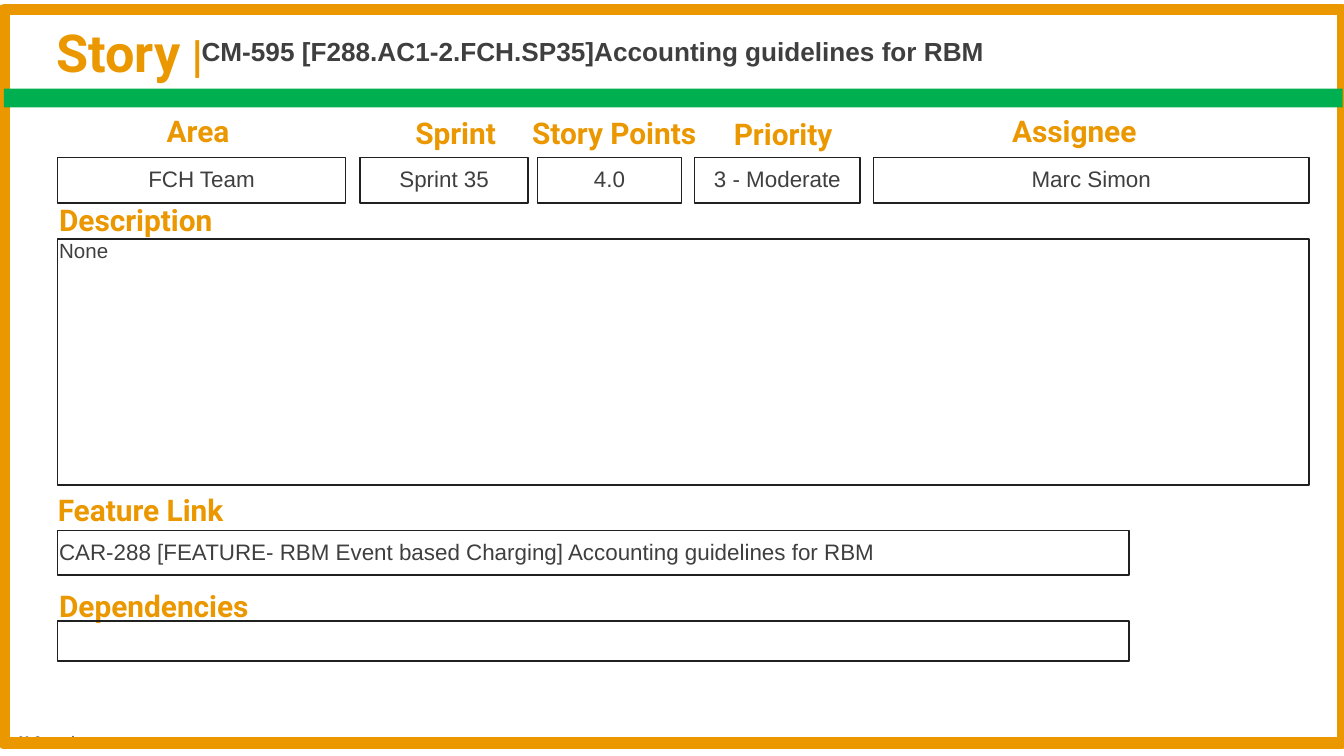
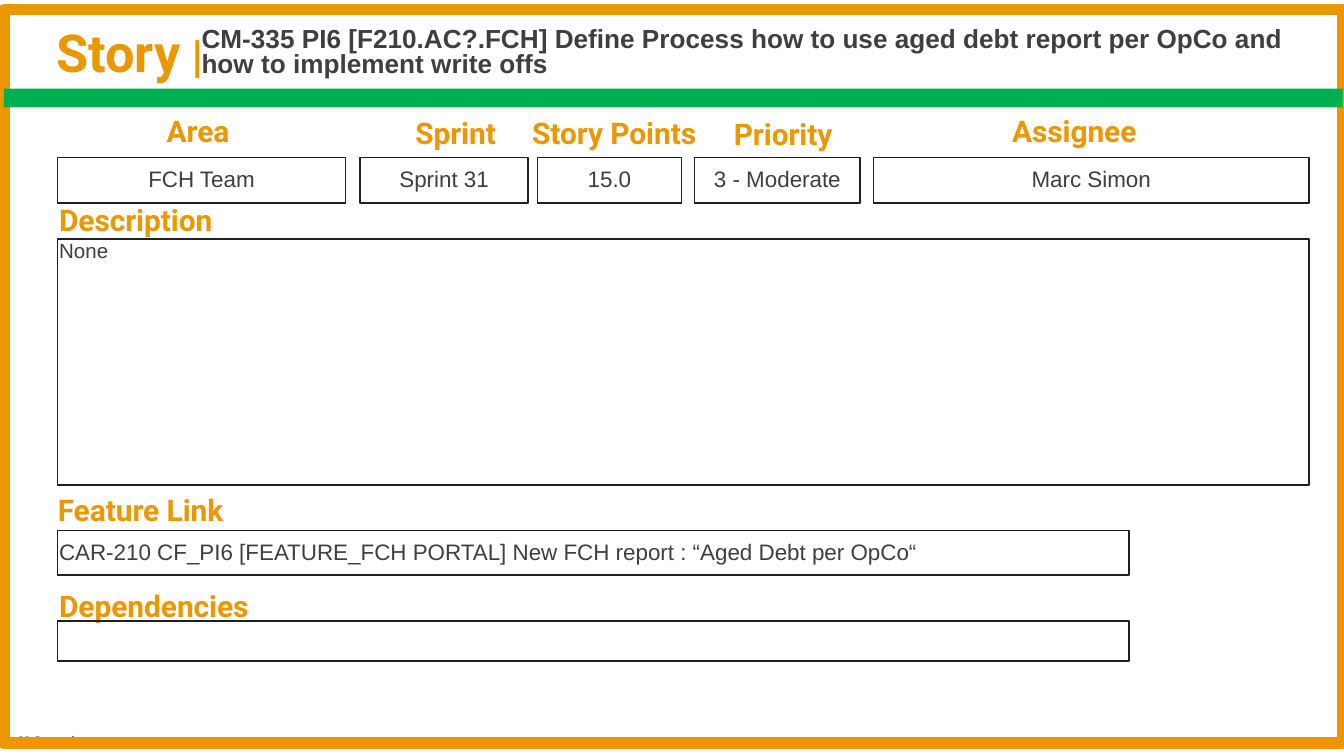
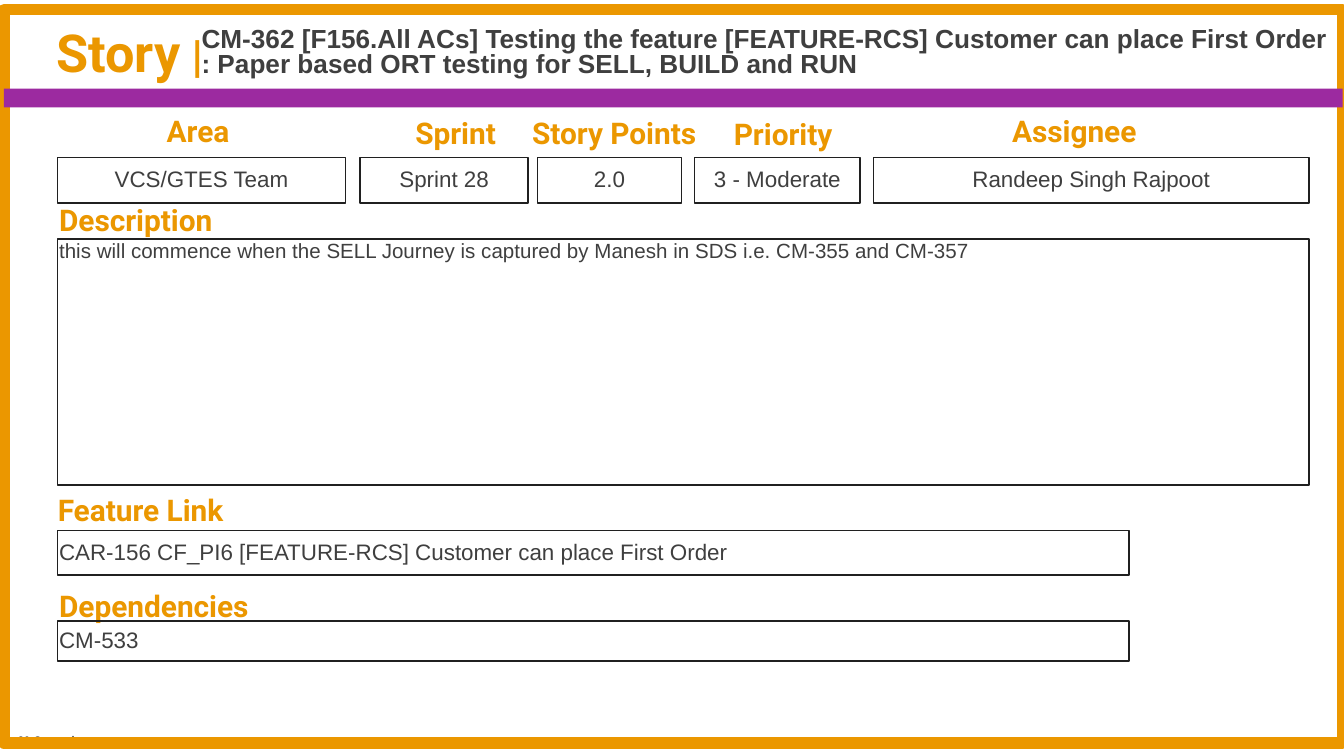
from pptx import Presentation
from pptx import util as u
from pptx.dml import color
from pptx.enum import shapes, text

COLS, ROWS = 100, 56.25
ORANGE, GREEN, PURPLE = "EB9700", "00B050", "9C2AA0"
INK, EDGE, BLACK = "3F3F3F", "202020", "000000"
HEAD, BODY, FOOT = "Roboto", "Arial", "Calibri"
LEFT, CELL_TOP, CELL_HIGH = 4.3, 11.7, 3.4
WIDE, NARROW = 93.1, 79.7

# label, label column, label row, box column, box width
FIELDS = [
    ("Area", 12.4, 8.4, LEFT, 21.4),
    ("Sprint", 30.9, 8.5, 26.8, 12.5),
    ("Story Points", 39.6, 8.5, 40, 10.7),
    ("Priority", 54.6, 8.6, 51.7, 12.3),
    ("Assignee", 75.3, 8.4, 65, 32.4),
]

STORIES = [
    dict(
        title="CM-595 [F288.AC1-2.FCH.SP35]Accounting guidelines for RBM",
        band=GREEN,
        values=["FCH Team", "Sprint 35", "4.0", "3 - Moderate", "Marc Simon"],
        about="None",
        feature="CAR-288 [FEATURE- RBM Event based Charging] "
                "Accounting guidelines for RBM",
        needs="",
    ),
    dict(
        title="CM-335 PI6 [F210.AC?.FCH] Define Process how to use aged debt "
              "report per OpCo and how to implement write offs",
        band=GREEN,
        values=["FCH Team", "Sprint 31", "15.0", "3 - Moderate", "Marc Simon"],
        about="None",
        feature="CAR-210 CF_PI6 [FEATURE_FCH PORTAL] New FCH report : "
                "“Aged Debt per OpCo“",
        needs="",
    ),
    dict(
        title="CM-362 [F156.All ACs] Testing the feature [FEATURE-RCS] Customer "
              "can place First Order : Paper based ORT testing for SELL, BUILD "
              "and RUN",
        band=PURPLE,
        values=["VCS/GTES Team", "Sprint 28", "2.0", "3 - Moderate",
                "Randeep Singh Rajpoot"],
        about="this will commence when the SELL Journey is captured by Manesh "
              "in SDS i.e. CM-355 and CM-357",
        feature="CAR-156 CF_PI6 [FEATURE-RCS] Customer can place First Order",
        needs="CM-533",
    ),
]


def rgb(code):
    return color.RGBColor.from_string(code)


class Deck:
    """Holds the style and the current slide; lengths are grid cells."""

    def __init__(self):
        self.prs = Presentation()
        self.prs.slide_width = u.Inches(10)
        self.prs.slide_height = u.Inches(5.625)
        self.slide = None

    def add(self):
        self.slide = self.prs.slides.add_slide(self.prs.slide_layouts[6])

    def place(self, col, row, wide, high):
        """Turn grid cells into slide lengths."""
        across = self.prs.slide_width / COLS
        down = self.prs.slide_height / ROWS
        return [u.Emu(round(n * step)) for n, step in
                ((col, across), (row, down), (wide, across), (high, down))]

    def label_shape(self, shape, runs, font, tint, bold=False, inset=(0, 0),
                    middle=False, center=False, lead=None):
        """Fill a shape with one paragraph of (words, size) runs."""
        frame = shape.text_frame
        frame.word_wrap = True
        frame.margin_left = frame.margin_right = u.Inches(inset[0])
        frame.margin_top = frame.margin_bottom = u.Inches(inset[1])
        anchor = text.MSO_ANCHOR
        frame.vertical_anchor = anchor.MIDDLE if middle else anchor.TOP
        para = frame.paragraphs[0]
        align = text.PP_ALIGN
        para.alignment = align.CENTER if center else align.LEFT
        if lead:
            para.line_spacing = lead
        for words, size in runs:
            run = para.add_run()
            run.text = words
            run.font.name = font
            run.font.size = u.Pt(size)
            run.font.bold = bold
            run.font.color.rgb = rgb(tint)

    def words(self, spot, runs, font, tint, **style):
        box = self.slide.shapes.add_textbox(*self.place(*spot))
        self.label_shape(box, runs, font, tint, **style)

    def rect(self, spot, fill=None, line=None, weight=0.75):
        box = self.slide.shapes.add_shape(
            shapes.MSO_SHAPE.RECTANGLE, *self.place(*spot))
        box.shadow.inherit = False
        if fill:
            box.fill.solid()
            box.fill.fore_color.rgb = rgb(fill)
        else:
            box.fill.background()
        if line:
            box.line.color.rgb = rgb(line)
            box.line.width = u.Pt(weight)
        else:
            box.line.fill.background()
        return box

    def label(self, name, col, row, wide=15.8):
        self.words((col, row, wide, 1.6), [(name, 16)], HEAD, ORANGE, bold=True)

    def field(self, spot, value, size=12, middle=True, center=False):
        box = self.rect(spot, line=EDGE)
        if value:
            self.label_shape(box, [(value, size)], BODY, INK,
                             inset=(0.01, 0.01), middle=middle, center=center,
                             lead=0.9)

    def header(self, title):
        self.words((3.2, 1.9, 17.9, 2.9), [("Story", 28), (" |", 24)], HEAD,
                   ORANGE, bold=True, inset=(0.1, 0.05), lead=0.8)
        self.words((15, 1.4, 84, 5.2), [(title, 14)], BODY, INK, bold=True,
                   middle=True, lead=0.8)

    def footer(self):
        self.words((0, 53.9, 6.8, 2.3), [("C2 General", 7)], FOOT, BLACK,
                   middle=True, center=True)

    def border(self, band):
        self.rect((0.3, 0.7, 99.6, 54.6), line=ORANGE, weight=6)
        self.rect((0.3, 6.6, 99.6, 1.4), fill=band)

    def story(self, title, band, values, about, feature, needs):
        self.add()
        self.footer()
        self.header(title)
        for (name, col, row, left, wide), value in zip(FIELDS, values):
            self.label(name, col, row)
            self.field((left, CELL_TOP, wide, CELL_HIGH), value, center=True)
        self.label("Description", 4.4, 15, wide=43.7)
        self.field((LEFT, 17.8, WIDE, 18.3), about, size=11, middle=False)
        self.label("Feature Link", LEFT, 36.6)
        self.field((LEFT, 39.5, NARROW, 3.3), feature)
        self.label("Dependencies", 4.4, 43.7)
        self.field((LEFT, 46.2, NARROW, 3), needs)
        self.border(band)


def main():
    deck = Deck()
    for story in STORIES:
        deck.story(**story)
    deck.prs.save("out.pptx")


if __name__ == "__main__":
    main()
